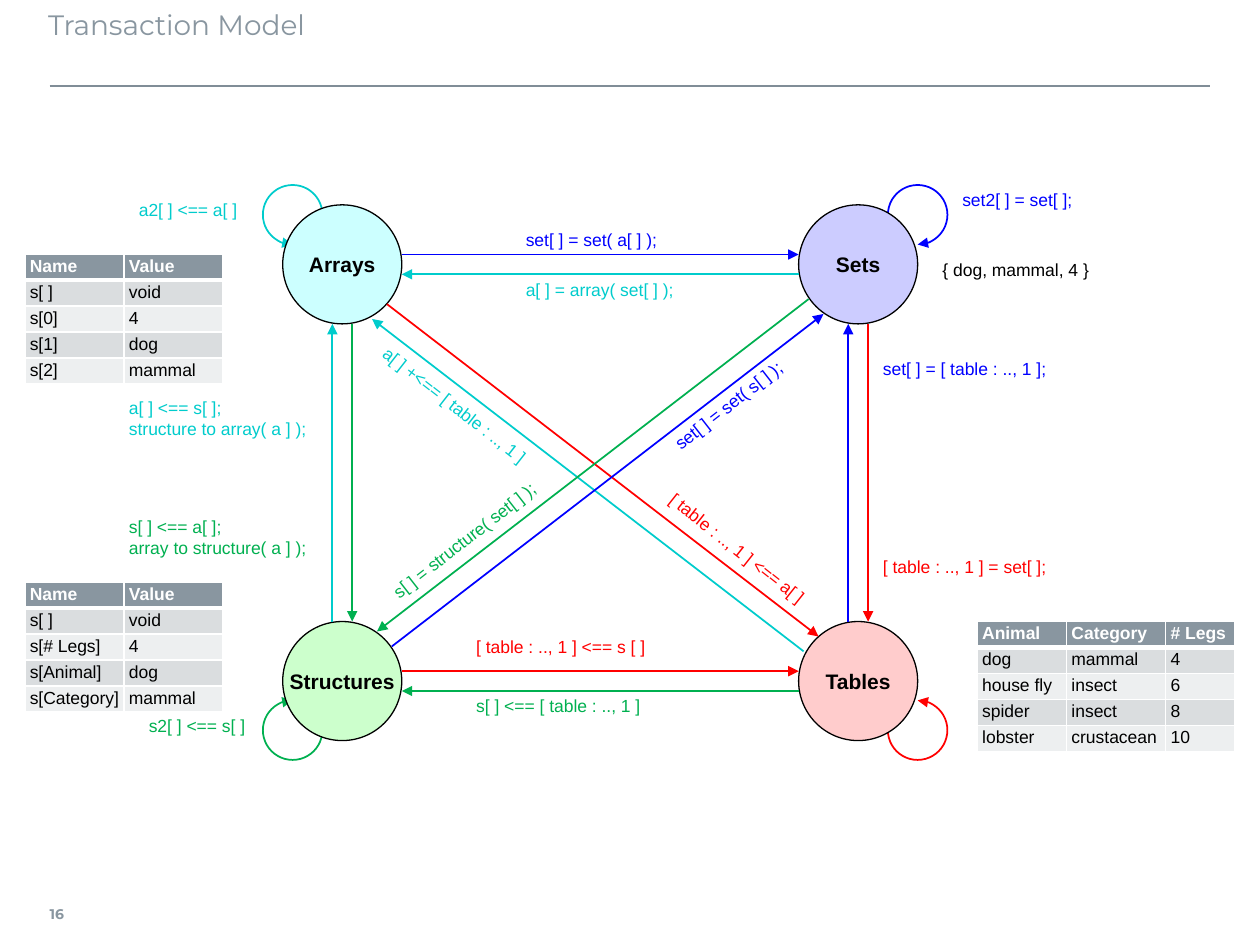
from lxml import etree
from pptx import Presentation
from pptx.dml.color import RGBColor
from pptx.enum.shapes import MSO_CONNECTOR, MSO_SHAPE
from pptx.enum.text import MSO_ANCHOR, PP_ALIGN
from pptx.oxml import parse_xml
from pptx.oxml.ns import nsdecls, qn
from pptx.util import Cm, Pt

STRAIGHT = MSO_CONNECTOR.STRAIGHT
ARC, OVAL = MSO_SHAPE.ARC, MSO_SHAPE.OVAL
TOP, MIDDLE = MSO_ANCHOR.TOP, MSO_ANCHOR.MIDDLE
LEFT, CENTER = PP_ALIGN.LEFT, PP_ALIGN.CENTER
CYAN, GREEN, RED, BLUE = "00CCCC", "00B050", "FF0000", "0000FF"
GREY, BLACK, WHITE = "8996A0", "000000", "FFFFFF"


def write(frame, text, size=10, font="Arial", colour=BLACK, bold=False, align=LEFT,
          anchor=MIDDLE, wrap=True, margins=(0.1, 0.1, 0.1, 0.1)):
    frame.word_wrap = wrap
    frame.vertical_anchor = anchor
    (frame.margin_left, frame.margin_top,
     frame.margin_right, frame.margin_bottom) = [Cm(margin) for margin in margins]
    frame.text = text
    for para in frame.paragraphs:
        para.alignment = align
        para.font.size, para.font.name, para.font.bold = Pt(size), font, bold
        para.font.color.rgb = RGBColor.from_string(colour)


def draw_line(shape, colour, width, arrow=None):
    """Style an outline; arrow is headEnd (at the start) or tailEnd (at the end)."""
    shape.line.color.rgb = RGBColor.from_string(colour)
    shape.line.width = Pt(width)
    if arrow:
        etree.SubElement(shape.line._get_or_add_ln(), qn("a:" + arrow), type="triangle")
    etree.SubElement(shape._element.spPr, qn("a:effectLst"))


deck = Presentation()
deck.slide_width, deck.slide_height = Cm(25.4), Cm(19.05)
page = deck.slides.add_slide(deck.slide_layouts[6])

# Title, rule and page number
title = page.shapes.add_textbox(Cm(0.97), Cm(0.03), Cm(23.4), Cm(1.6))
write(title.text_frame, "Transaction Model", size=16, font="Montserrat", colour=GREY,
      anchor=TOP, margins=(0, 0.13, 0.25, 0.13))
rule = page.shapes.add_connector(STRAIGHT, Cm(1), Cm(1.73), Cm(24.4), Cm(1.73))
draw_line(rule, "808D97", 1)
number = page.shapes.add_textbox(Cm(1), Cm(17.93), Cm(0.9), Cm(1))
write(number.text_frame, "16", size=8, font="Montserrat", colour=GREY, bold=True,
      wrap=False, margins=(0, 0.13, 0.2, 0.13))

# Self-loops: left, top, start and end angle (clockwise), arrow end
loops = [
    (5.3, 3.73, 90, 0, "headEnd", CYAN),
    (17.9, 3.73, 180, 90, "tailEnd", BLUE),
    (5.3, 14.12, 0, 270, "tailEnd", GREEN),
    (17.9, 14.12, 270, 180, "headEnd", RED),
]
for left, top, start, end, arrow, colour in loops:
    loop = page.shapes.add_shape(ARC, Cm(left), Cm(top), Cm(1.2), Cm(1.2))
    # Angles are stored in 60000ths of a degree, adjustments in 100000ths
    loop.adjustments[0], loop.adjustments[1] = start * 0.6, end * 0.6
    loop.fill.background()
    draw_line(loop, colour, 1, arrow)

# Type circles, by centre
RADIUS, SHIFT = 1.2, 0.2
WEST, EAST, NORTH, SOUTH = 6.9, 17.3, 5.33, 13.73
circles = [
    ("Arrays", WEST, NORTH, "CCFFFF"),
    ("Sets", EAST, NORTH, "CCCCFF"),
    ("Structures", WEST, SOUTH, "CCFFCC"),
    ("Tables", EAST, SOUTH, "FFCCCC"),
]
for name, x, y, fill in circles:
    circle = page.shapes.add_shape(OVAL, Cm(x - RADIUS), Cm(y - RADIUS),
                                   Cm(2 * RADIUS), Cm(2 * RADIUS))
    circle.fill.solid()
    circle.fill.fore_color.rgb = RGBColor.from_string(fill)
    draw_line(circle, BLACK, 0.75)
    write(circle.text_frame, name, size=12, bold=True, align=CENTER, wrap=False)

# Conversion arrows: a pair on each side, then the diagonals
arrows = [
    (16.2, 13.13, 7.5, 6.43, CYAN),
    (7.8, 6.13, 16.5, 12.83, RED),
    (16.3, 6.03, 7.6, 12.73, GREEN),
    (7.9, 13.03, 16.6, 6.33, BLUE),
]
inner_left, inner_right = WEST + RADIUS, EAST - RADIUS
inner_top, inner_bottom = NORTH + RADIUS, SOUTH - RADIUS
for y, forward, back in [(NORTH, BLUE, CYAN), (SOUTH, RED, GREEN)]:
    arrows.append((inner_left, y - SHIFT, inner_right, y - SHIFT, forward))
    arrows.append((inner_right, y + SHIFT, inner_left, y + SHIFT, back))
for x, up, down in [(WEST, CYAN, GREEN), (EAST, BLUE, RED)]:
    arrows.append((x - SHIFT, inner_bottom, x - SHIFT, inner_top, up))
    arrows.append((x + SHIFT, inner_top, x + SHIFT, inner_bottom, down))
for x1, y1, x2, y2, colour in arrows:
    arrow = page.shapes.add_connector(STRAIGHT, Cm(x1), Cm(y1), Cm(x2), Cm(y2))
    draw_line(arrow, colour, 1, "tailEnd")

# Labels: left, top, rotation, colour, text
labels = [
    (2.7, 3.93, 0, CYAN, "a2[ ] <== a[ ]"),
    (19.3, 3.73, 0, BLUE, "set2[ ] = set[ ];"),
    (18.9, 5.13, 0, BLACK, "{ dog, mammal, 4 }"),
    (10.5, 4.53, 0, BLUE, "set[ ] = set( a[ ] );"),
    (10.5, 5.53, 0, CYAN, "a[ ] = array( set[ ] );"),
    (17.7, 7.13, 0, BLUE, "set[ ] = [ table : .., 1 ];"),
    (17.7, 11.13, 0, RED, "[ table : .., 1 ] = set[ ];"),
    (9.5, 12.73, 0, RED, "[ table : .., 1 ] <== s [ ]"),
    (9.5, 13.93, 0, GREEN, "s[ ] <== [ table : .., 1 ]"),
    (2.5, 8.13, 0, CYAN, "a[ ] <== s[ ];\nstructure to array( a ] );"),
    (2.5, 10.53, 0, GREEN, "s[ ] <== a[ ];\narray to structure( a ] );"),
    (2.9, 14.33, 0, GREEN, "s2[ ] <== s[ ]"),
    (7.27, 7.95, 38, CYAN, "a[ ] +<== [ table : .., 1 ]"),
    (13.05, 10.9, 38.3, RED, "[ table : .., 1 ] <== a[ ]"),
    (7.46, 10.5, -38, GREEN, "s[ ] = structure( set[ ] );"),
    (13.14, 7.5, -38, BLUE, "set[ ] = set( s[ ] );"),
]
for left, top, rotation, colour, text in labels:
    label = page.shapes.add_textbox(Cm(left), Cm(top), Cm(4), Cm(0.6))
    label.rotation = rotation
    write(label.text_frame, text, colour=colour)

# Example tables: left, top, column widths, rows
ROW_HEIGHT = 0.49
tables = [
    (0.5, 5.12, (2, 2), [("Name", "Value"), ("s[ ]", "void"), ("s[0]", "4"),
                         ("s[1]", "dog"), ("s[2]", "mammal")]),
    (0.5, 11.73, (2, 2), [("Name", "Value"), ("s[ ]", "void"), ("s[# Legs]", "4"),
                          ("s[Animal]", "dog"), ("s[Category]", "mammal")]),
    (19.7, 12.53, (1.8, 2, 1.4), [("Animal", "Category", "# Legs"),
                                  ("dog", "mammal", "4"), ("house fly", "insect", "6"),
                                  ("spider", "insect", "8"),
                                  ("lobster", "crustacean", "10")]),
]
for left, top, widths, rows in tables:
    table = page.shapes.add_table(len(rows), len(widths), Cm(left), Cm(top),
                                  Cm(sum(widths)), Cm(ROW_HEIGHT * len(rows))).table
    for column, width in zip(table.columns, widths):
        column.width = Cm(width)
    for r, row in enumerate(rows):
        header = r == 0
        fill = GREY if header else ("EDEFF0", "DADDDF")[r % 2]
        for c, text in enumerate(row):
            cell = table.cell(r, c)
            write(cell.text_frame, text, colour=WHITE if header else BLACK, bold=header)
            cell.vertical_anchor = TOP
            cell.margin_left = cell.margin_right = Cm(0.1)
            cell.margin_top = cell.margin_bottom = Cm(0.05)
            borders = {"lnL": 1, "lnR": 1, "lnT": 3 if r == 1 else 1, "lnB": 3 if header else 1}
            for side, width in borders.items():
                cell._tc.get_or_add_tcPr().append(parse_xml(
                    f'<a:{side} {nsdecls("a")} w="{Pt(width)}"><a:solidFill>'
                    f'<a:srgbClr val="{WHITE}"/></a:solidFill></a:{side}>'))
            cell.fill.solid()
            cell.fill.fore_color.rgb = RGBColor.from_string(fill)

deck.save("out.pptx")
